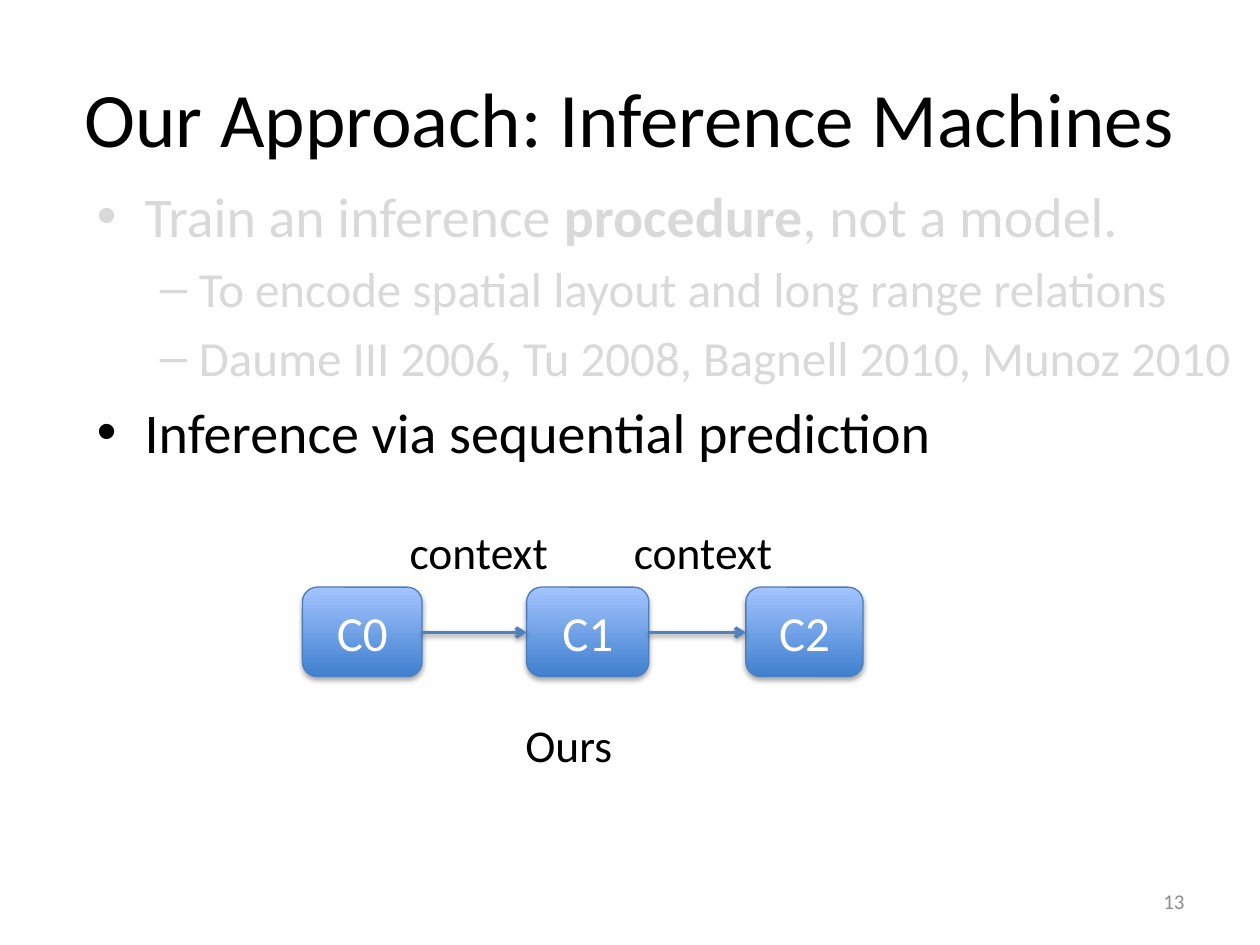
from lxml.etree import SubElement
from pptx import Presentation
from pptx.dml.color import RGBColor
from pptx.enum.shapes import MSO_CONNECTOR, MSO_SHAPE
from pptx.enum.text import MSO_ANCHOR, PP_ALIGN
from pptx.oxml.ns import qn
from pptx.util import Inches, Pt

COLORS = {"text": "000000", "faded": "D9D9D9", "number": "8C8C8C",
          "white": "FFFFFF", "dark": "3F80CE", "light": "A4C4FF",
          "edge": "4B7EBC", "arrow": "4F81BD"}
FONT = "Calibri"
COLS, ROWS = 20, 15


def color(name):
    return RGBColor.from_string(COLORS[name])


class Deck:
    def __init__(self):
        self.prs = Presentation()
        self.prs.slide_width, self.prs.slide_height = Inches(10), Inches(7.5)
        self.slide = self.prs.slides.add_slide(self.prs.slide_layouts[6])
        self.shapes = self.slide.shapes

    def grid(self, col, row):
        return (round(col * self.prs.slide_width / COLS),
                round(row * self.prs.slide_height / ROWS))

    def style(self, para, size, tint):
        for run in para.runs:
            run.font.name, run.font.size = FONT, Pt(size)
            run.font.color.rgb = color(tint)

    def label(self, shape, text, size, tint="text", align=PP_ALIGN.CENTER,
              anchor=MSO_ANCHOR.MIDDLE):
        frame = shape.text_frame
        frame.word_wrap, frame.vertical_anchor = True, anchor
        frame.text = text
        frame.paragraphs[0].alignment = align
        self.style(frame.paragraphs[0], size, tint)

    def text(self, col, row, wide, high, text, size, **look):
        box = self.shapes.add_textbox(*self.grid(col, row), *self.grid(wide, high))
        self.label(box, text, size, **look)

    def shadow(self, shape, alpha, dist):
        effects = SubElement(shape._element.spPr, qn("a:effectLst"))
        outer = SubElement(effects, qn("a:outerShdw"), blurRad=str(Pt(3.1)),
                           dist=str(Pt(dist)), dir="5400000", rotWithShape="0")
        black = SubElement(outer, qn("a:srgbClr"), val=COLORS["text"])
        SubElement(black, qn("a:alpha"), val=str(alpha * 1000))

    def node(self, col, row, wide, high, text):
        shape = self.shapes.add_shape(MSO_SHAPE.ROUNDED_RECTANGLE,
                                      *self.grid(col, row), *self.grid(wide, high))
        shape.fill.gradient()
        shape.fill.gradient_angle = 90
        for stop, tint in zip(shape.fill.gradient_stops, ("dark", "light")):
            stop.color.rgb = color(tint)
        shape.line.color.rgb, shape.line.width = color("edge"), Pt(0.75)
        self.shadow(shape, 35, 1.8)
        self.label(shape, text, 28, "white")

    def arrow(self, start, end, row):
        line = self.shapes.add_connector(MSO_CONNECTOR.STRAIGHT,
                                         *self.grid(start, row), *self.grid(end, row))
        line.line.color.rgb, line.line.width = color("arrow"), Pt(2)
        SubElement(line.line._get_or_add_ln(), qn("a:tailEnd"), type="arrow")
        self.shadow(line, 38, 1.6)

    def bullets(self, col, row, wide, high, items):
        box = self.shapes.add_textbox(*self.grid(col, row), *self.grid(wide, high))
        frame = box.text_frame
        frame.word_wrap = True
        for i, (level, tint, parts) in enumerate(items):
            para = frame.add_paragraph() if i else frame.paragraphs[0]
            para.level = level
            for j, part in enumerate(parts):
                run = para.add_run()
                run.text, run.font.bold = part, j % 2 == 1
            size, left, hang, mark = ((32, 0.38, 0.38, "•"),
                                      (28, 0.81, 0.31, "–"))[level]
            self.style(para, size, tint)
            props = para._p.get_or_add_pPr()
            props.set("marL", str(Inches(left)))
            props.set("indent", str(-Inches(hang)))
            space = SubElement(props, qn("a:spcBef"))
            SubElement(space, qn("a:spcPct"), val="20000")
            SubElement(props, qn("a:buFont"), typeface="Arial")
            SubElement(props, qn("a:buChar"), char=mark)


def main():
    deck = Deck()

    # Slide number
    deck.text(14.34, 13.9, 4.66, 0.8, "13", 12, tint="number", align=PP_ALIGN.RIGHT)

    # Chain of predictors, kept as one group
    deck.shapes = deck.slide.shapes.add_group_shape().shapes
    nodes = [("C0", 4.8, 1.9), ("C1", 8.36, 1.94), ("C2", 11.84, 1.86)]
    for name, col, wide in nodes:
        deck.node(col, 9.32, wide, 1.42, name)
    for (_, col, wide), (_, end, _) in zip(nodes, nodes[1:]):
        deck.arrow(col + wide, end, 10.04)
    for col in (6.16, 9.72):
        deck.text(col, 8.22, 2.88, 1.08, "context", 26, anchor=MSO_ANCHOR.TOP)
    deck.shapes = deck.slide.shapes

    # Caption, points and title
    deck.text(5.8, 11.28, 6.46, 1.08, "Ours", 26, anchor=MSO_ANCHOR.TOP)
    deck.bullets(1.34, 2.78, 19, 10.88, [
        (0, "faded", ["Train an inference ", "procedure", ", not a model."]),
        (1, "faded", ["To encode spatial layout and long range relations"]),
        (1, "faded", ["Daume III 2006, Tu 2008, Bagnell 2010, Munoz 2010"]),
        (0, "text", ["Inference via sequential prediction"]),
    ])
    deck.text(0, 0.6, 20, 2.5, "Our Approach: Inference Machines", 44)

    deck.prs.save("out.pptx")


if __name__ == "__main__":
    main()
